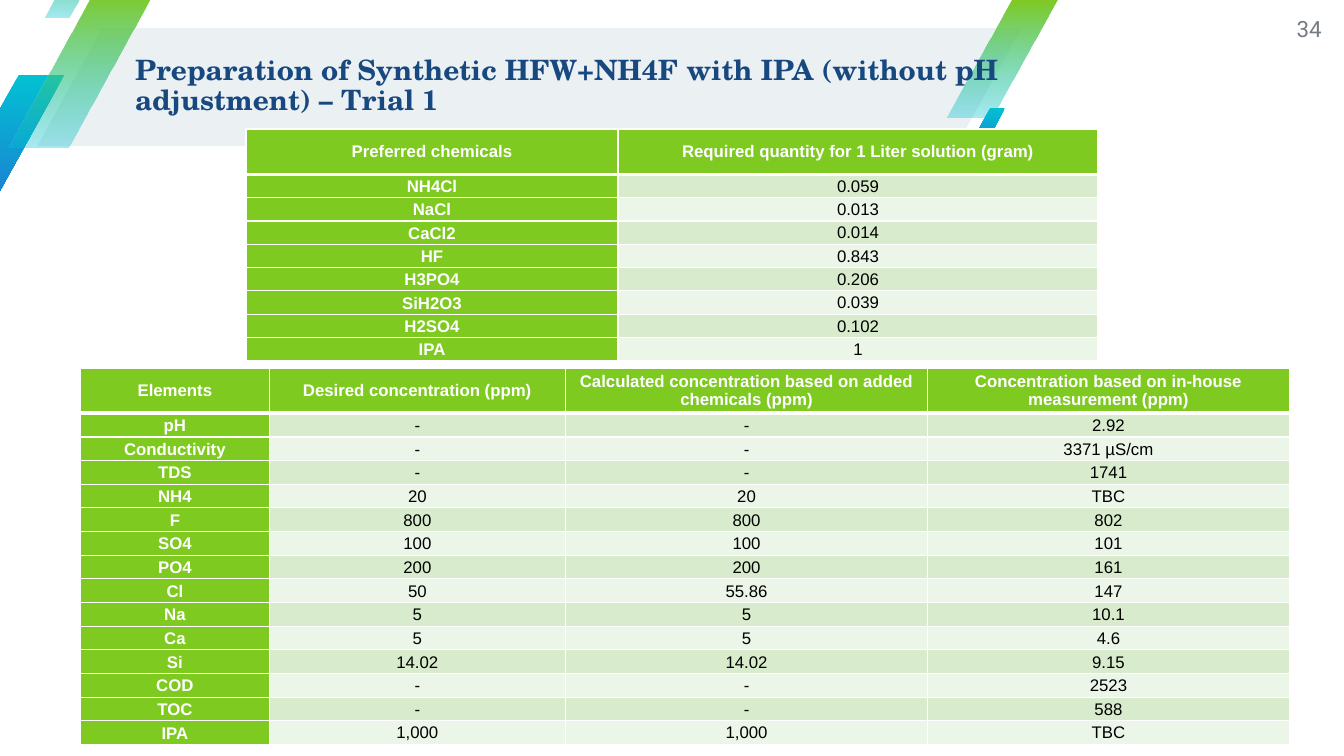
from lxml import etree
from pptx import Presentation
from pptx.dml.color import RGBColor
from pptx.enum.shapes import MSO_SHAPE
from pptx.enum.text import MSO_ANCHOR, MSO_AUTO_SIZE, PP_ALIGN
from pptx.oxml.ns import qn
from pptx.util import Inches, Pt

PARALLELOGRAM = MSO_SHAPE.PARALLELOGRAM
MIDDLE = MSO_ANCHOR.MIDDLE
NO_AUTOFIT = MSO_AUTO_SIZE.NONE
LEFT, CENTER, RIGHT = PP_ALIGN.LEFT, PP_ALIGN.CENTER, PP_ALIGN.RIGHT

COLORS = {
    "band": "EBF0F3", "cyan": "02C1D3", "blue": "1985D2", "green": "7FCA20",
    "title": "184880", "number": "757C83", "white": "FFFFFF", "black": "000000",
    "odd_row": "D8ECCD", "even_row": "ECF6E8",
}
HEADER_HEIGHT = 0.45

SLANTS = [
    (-0.46, 0.74, 1.1, 1.17, "cyan", "blue", 100),
    (9.39, 0, 1.1, 1.17, "green", "cyan", 34),
    (0.08, -0.1, 1.46, 1.56, "green", "cyan", 34),
    (0.44, -0.48, 0.61, 0.65, "green", "cyan", 34),
    (9.61, 1.07, 0.36, 0.39, "cyan", "blue", 100),
]

CHEMICALS = [
    ("Preferred chemicals", "Required quantity for 1 Liter solution (gram)"),
    ("NH4Cl", "0.059"),
    ("NaCl", "0.013"),
    ("CaCl2", "0.014"),
    ("HF", "0.843"),
    ("H3PO4", "0.206"),
    ("SiH2O3", "0.039"),
    ("H2SO4", "0.102"),
    ("IPA", "1"),
]

CONCENTRATIONS = [
    ("Elements", "Desired concentration (ppm)",
     "Calculated concentration based on added chemicals (ppm)",
     "Concentration based on in-house measurement (ppm)"),
    ("pH", "-", "-", "2.92"),
    ("Conductivity", "-", "-", "3371 µS/cm"),
    ("TDS", "-", "-", "1741"),
    ("NH4", "20", "20", "TBC"),
    ("F", "800", "800", "802"),
    ("SO4", "100", "100", "101"),
    ("PO4", "200", "200", "161"),
    ("Cl", "50", "55.86", "147"),
    ("Na", "5", "5", "10.1"),
    ("Ca", "5", "5", "4.6"),
    ("Si", "14.02", "14.02", "9.15"),
    ("COD", "-", "-", "2523"),
    ("TOC", "-", "-", "588"),
    ("IPA", "1,000", "1,000", "TBC"),
]


def color(name):
    """Return a palette colour."""
    return RGBColor.from_string(COLORS[name])


def style_font(font, face, size, color_name, bold=False):
    """Apply face, size, colour and weight to a font."""
    font.name, font.size, font.bold = face, Pt(size), bold
    font.color.rgb = color(color_name)


def add_parallelogram(slide, left, top, width, height, slant):
    """Add a slanted shape without outline or shadow."""
    parallelogram = slide.shapes.add_shape(
        PARALLELOGRAM, Inches(left), Inches(top), Inches(width), Inches(height))
    parallelogram.adjustments[0] = slant
    parallelogram.shadow.inherit = False
    parallelogram.line.fill.background()
    return parallelogram


def add_gradient_slant(slide, left, top, width, height, upper, lower, opacity):
    """Add a slanted shape with a vertical gradient."""
    slant = add_parallelogram(slide, left, top, width, height, 0.59)
    slant.fill.gradient()
    slant.fill.gradient_angle = 270
    for stop, name in zip(slant.fill.gradient_stops, (upper, lower)):
        stop.color.rgb = color(name)
    if opacity < 100:
        lower_color = list(slant.element.iter(qn("a:srgbClr")))[-1]
        etree.SubElement(lower_color, qn("a:alpha"), val=str(opacity * 1000))


def set_text(shape, text, align):
    """Fill a shape with one middle-anchored paragraph without margins."""
    frame = shape.text_frame
    frame.text = text
    frame.word_wrap = True
    frame.auto_size = NO_AUTOFIT
    frame.vertical_anchor = MIDDLE
    frame.margin_left = frame.margin_top = frame.margin_right = frame.margin_bottom = 0
    paragraph = frame.paragraphs[0]
    paragraph.alignment = align
    return paragraph


def add_title(slide, text):
    """Place the title in front of the slanted shapes."""
    title = slide.shapes.title
    title.left, title.top = Inches(1.34), Inches(0.26)
    title.width, title.height = Inches(8.79), Inches(1.19)
    paragraph = set_text(title, text, LEFT)
    paragraph.line_spacing = 0.9
    style_font(paragraph.runs[0].font, "TeX Gyre Schola", 20, "title", True)
    title.element.getparent().append(title.element)


def add_page_number(slide, number):
    """Add the page number at the top right."""
    box = slide.shapes.add_textbox(Inches(12.48), 0, Inches(0.63), Inches(0.57))
    paragraph = set_text(box, number, RIGHT)
    style_font(paragraph.runs[0].font, "Roboto", 16, "number")


def set_borders(cell, top, bottom):
    """Draw white cell borders, with top and bottom widths in points."""
    properties = cell._tc.get_or_add_tcPr()
    for side, width in (("L", 1), ("R", 1), ("T", top), ("B", bottom)):
        border = etree.SubElement(properties, qn(f"a:ln{side}"), w=str(Pt(width)))
        fill = etree.SubElement(border, qn("a:solidFill"))
        etree.SubElement(fill, qn("a:srgbClr"), val=COLORS["white"])


def format_cell(cell, text, row, column):
    """Write and style a cell according to its place in the table."""
    label = row == 0 or column == 0
    set_borders(cell, 3 if row == 1 else 1, 3 if row == 0 else 1)
    cell.fill.solid()
    band = "odd_row" if row % 2 else "even_row"
    cell.fill.fore_color.rgb = color("green" if label else band)
    cell.vertical_anchor = MIDDLE
    cell.margin_left = cell.margin_right = Inches(0.03 if label else 0.01)
    cell.margin_top = Inches(0 if label else 0.01)
    cell.margin_bottom = 0
    cell.text = text
    paragraph = cell.text_frame.paragraphs[0]
    paragraph.alignment = CENTER
    if row and label:
        paragraph.line_spacing = 1.07
        paragraph.space_after = Pt(8)
    style_font(paragraph.runs[0].font, "Arial", 12, "white" if label else "black", label)


def add_data_table(slide, left, top, height, column_widths, rows):
    """Add a table with a header row and equal body rows."""
    table = slide.shapes.add_table(
        len(rows), len(column_widths), Inches(left), Inches(top),
        Inches(sum(column_widths)), Inches(height)).table
    for column, width in zip(table.columns, column_widths):
        column.width = Inches(width)
    body_height = (height - HEADER_HEIGHT) / (len(rows) - 1)
    for r, texts in enumerate(rows):
        table.rows[r].height = Inches(body_height if r else HEADER_HEIGHT)
        for c, text in enumerate(texts):
            format_cell(table.cell(r, c), text, r, c)


def main():
    """Build the slide and save it."""
    presentation = Presentation()
    presentation.slide_width, presentation.slide_height = Inches(13.33), Inches(7.5)
    slide = presentation.slides.add_slide(presentation.slide_layouts[5])
    title_band = add_parallelogram(slide, 0.37, 0.28, 9.76, 1.17, 0.55)
    title_band.fill.solid()
    title_band.fill.fore_color.rgb = color("band")
    for slant in SLANTS:
        add_gradient_slant(slide, *slant)
    add_title(slide, "Preparation of Synthetic HFW+NH4F with IPA (without pH adjustment) – Trial 1")
    add_page_number(slide, "34")
    add_data_table(slide, 2.44, 1.28, 2.3, (3.69, 4.76), CHEMICALS)
    add_data_table(slide, 0.8, 3.65, 3.74, (1.87, 2.94, 3.59, 3.59), CONCENTRATIONS)
    presentation.save("out.pptx")


if __name__ == "__main__":
    main()
